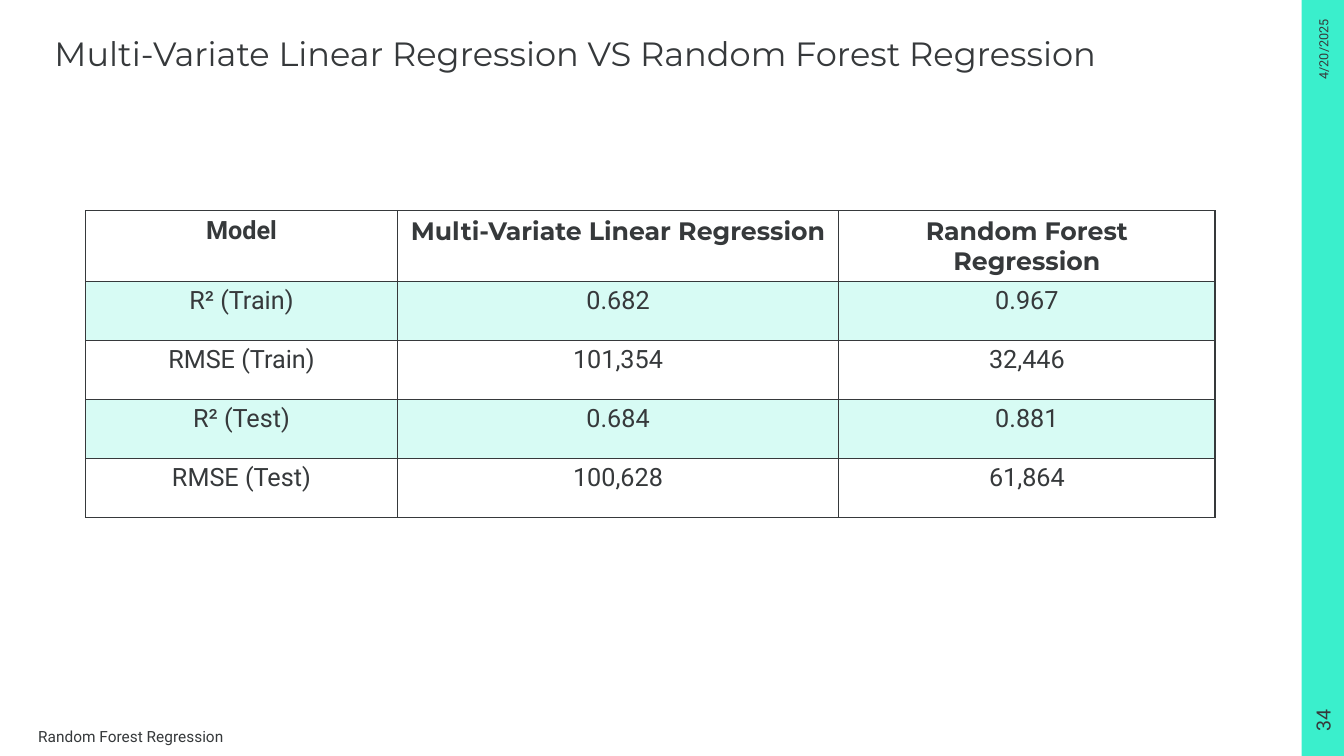
from lxml import etree
from pptx import Presentation
from pptx.dml.color import RGBColor
from pptx.enum.shapes import MSO_SHAPE
from pptx.enum.text import MSO_ANCHOR, PP_ALIGN
from pptx.oxml.ns import qn
from pptx.util import Inches, Pt

RECTANGLE = MSO_SHAPE.RECTANGLE
TOP, MIDDLE = MSO_ANCHOR.TOP, MSO_ANCHOR.MIDDLE
LEFT, CENTER = PP_ALIGN.LEFT, PP_ALIGN.CENTER
TITLE_ONLY = 5

INK, MINT = "36393B", "3AEFCC"
HEADING_FONT, BODY_FONT = "Montserrat", "Roboto"

TITLE = "Multi-Variate Linear Regression VS Random Forest Regression"
SCORES = [
    ["Model", "Multi-Variate Linear Regression", "Random Forest Regression"],
    ["R² (Train)", "0.682", "0.967"],
    ["RMSE (Train)", "101,354", "32,446"],
    ["R² (Test)", "0.684", "0.881"],
    ["RMSE (Test)", "100,628", "61,864"],
]
COLUMN_WIDTHS = [3.09, 4.38, 3.73]
TABLE_HEIGHT = 2.93


def color(hex_string):
    return RGBColor.from_string(hex_string)


def set_all(target, values):
    for name, value in values.items():
        setattr(target, name, value)


def write(frame, text, size, font=BODY_FONT, align=LEFT, bold=False):
    frame.text = text
    paragraph = frame.paragraphs[0]
    paragraph.alignment = align
    set_all(paragraph.font, {"name": font, "size": Pt(size), "bold": bold})
    paragraph.font.color.rgb = color(INK)


def add_label(slide, box, text, size, align=LEFT, rotation=0, **frame_format):
    label = slide.shapes.add_textbox(*map(Inches, box))
    label.rotation = rotation
    set_all(label.text_frame, {"word_wrap": True, **frame_format})
    write(label.text_frame, text, size, align=align)


def add_side_band(slide):
    band = slide.shapes.add_shape(
        RECTANGLE, Inches(12.91), 0, Inches(0.42), Inches(7.5))
    band.shadow.inherit = False
    band.fill.solid()
    band.fill.fore_color.rgb = color(MINT)
    band.line.fill.background()


def place_title(slide):
    title = slide.shapes.title
    set_all(title, {"left": Inches(0.44), "top": Inches(0.28),
                    "width": Inches(11.61), "height": Inches(0.5)})
    set_all(title.text_frame, {"word_wrap": True, "vertical_anchor": TOP})
    write(title.text_frame, TITLE, 24, HEADING_FONT)


def add_borders(cell):
    properties = cell._tc.get_or_add_tcPr()
    for side in ("lnL", "lnR", "lnT", "lnB"):
        line = etree.SubElement(properties, qn(f"a:{side}"), w=str(Pt(1)))
        fill = etree.SubElement(line, qn("a:solidFill"))
        etree.SubElement(fill, qn("a:srgbClr"), val=INK)


def fill_cell(cell, tinted):
    if not tinted:
        cell.fill.background()
        return
    cell.fill.solid()
    cell.fill.fore_color.rgb = color(MINT)
    mint = cell._tc.tcPr.find(f"{qn('a:solidFill')}/{qn('a:srgbClr')}")
    etree.SubElement(mint, qn("a:alpha"), val="20000")


def add_score_table(slide):
    table = slide.shapes.add_table(
        len(SCORES), len(COLUMN_WIDTHS), Inches(0.85), Inches(2.09),
        Inches(sum(COLUMN_WIDTHS)), Inches(TABLE_HEIGHT)).table
    for column, width in zip(table.columns, COLUMN_WIDTHS):
        column.width = Inches(width)
    for row, scores in enumerate(SCORES):
        for column, score in enumerate(scores):
            cell = table.cell(row, column)
            is_header = row == 0
            font = HEADING_FONT if is_header and column > 0 else BODY_FONT
            write(cell.text_frame, score, 18, font, CENTER, is_header)
            add_borders(cell)
            fill_cell(cell, tinted=row % 2 == 1)


def main():
    deck = Presentation()
    set_all(deck, {"slide_width": Inches(13.33), "slide_height": Inches(7.5)})
    slide = deck.slides.add_slide(deck.slide_layouts[TITLE_ONLY])

    # Side band with date and page number
    add_side_band(slide)
    for box, text, size in [((12.64, 0.28, 0.97, 0.42), "4/20/2025", 9),
                            ((12.77, 6.94, 0.7, 0.42), "34", 14)]:
        add_label(slide, box, text, size, CENTER, 270, vertical_anchor=MIDDLE)

    # Title and model comparison
    place_title(slide)
    add_score_table(slide)

    # Footer
    add_label(slide, (0.28, 7.21, 5.99, 0.2), "Random Forest Regression", 11,
              margin_left=Inches(0.1), margin_right=0, margin_top=0,
              margin_bottom=0)

    deck.save("out.pptx")


if __name__ == "__main__":
    main()
